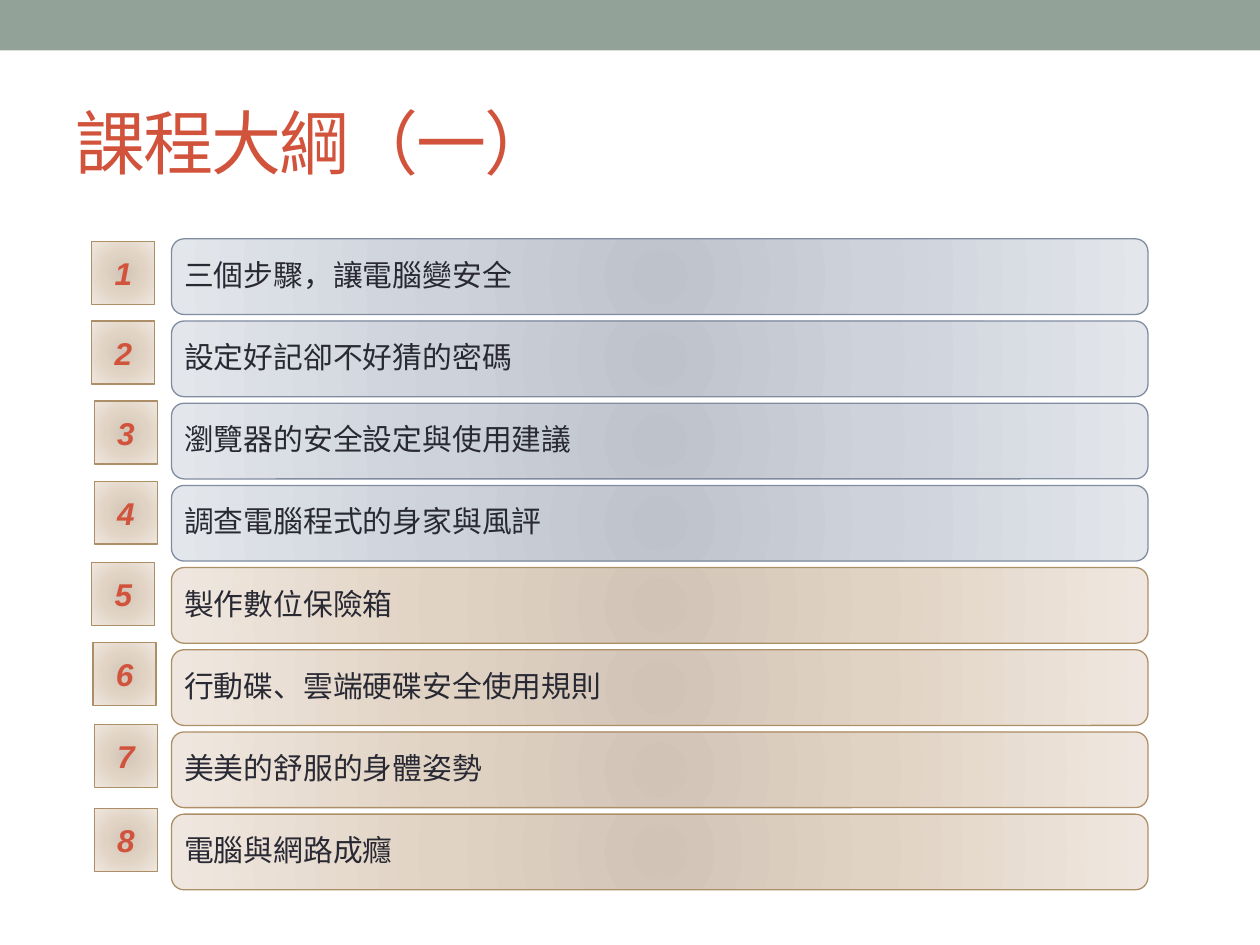
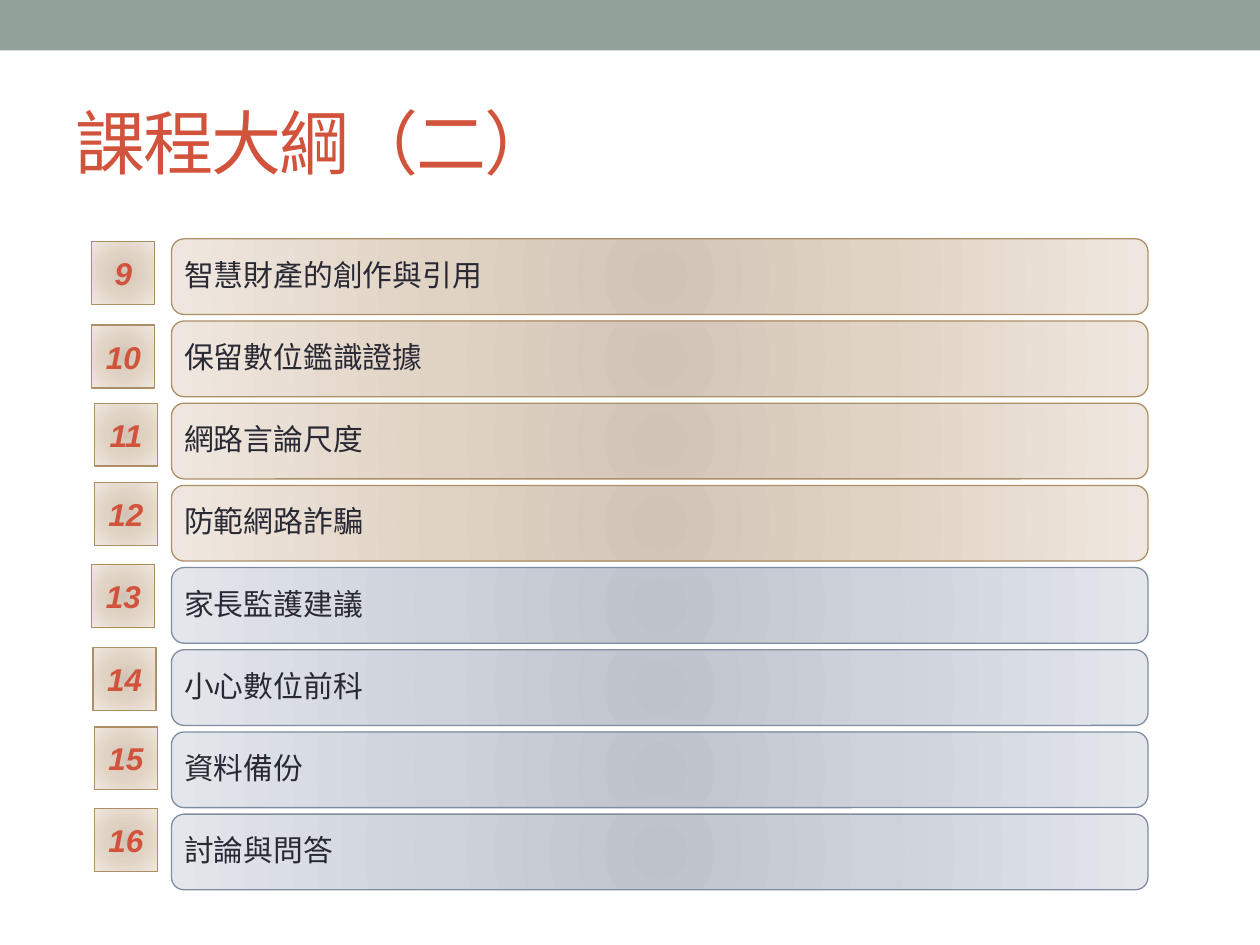
import pptx
import pptx.dml.color
import pptx.enum.shapes
import pptx.enum.text
import pptx.oxml
import pptx.oxml.ns
import pptx.util

Pt = pptx.util.Pt
KIND = pptx.enum.shapes.MSO_SHAPE
ALIGN = pptx.enum.text.PP_ALIGN
MIDDLE = pptx.enum.text.MSO_ANCHOR.MIDDLE

WIDE, HIGH = 720, 540
FONT = "Arial"
SAGE, RED, INK = "93A299", "D2533C", "292934"
BLUE = (("BEC3CB", "CDD2DB", "E3E6EB"), "808DA0")
TAN = (("D1C4B6", "E1D3C4", "EFE7DF"), "AD8F67")
STOPS = (0, 45, 100)

TITLE = (36, 42, 648, 78)
LIST = (98, 136.5, 558, 372)
GAP = 3.7
SIDE = 36
LEFTS = (52.5, 52.5, 54, 54, 52.5, 53.2, 54, 54)

PAGES = (
    ("課程大綱（一）", 1, (BLUE, TAN),
     (138, 183.5, 229.2, 275, 321.6, 367.2, 414, 462),
     ("三個步驟，讓電腦變安全", "設定好記卻不好猜的密碼",
      "瀏覽器的安全設定與使用建議", "調查電腦程式的身家與風評",
      "製作數位保險箱", "行動碟、雲端硬碟安全使用規則",
      "美美的舒服的身體姿勢", "電腦與網路成癮")),
    ("課程大綱（二）", 9, (TAN, BLUE),
     (138, 185.8, 230.4, 275.8, 322.6, 370, 415.4, 462),
     ("智慧財產的創作與引用", "保留數位鑑識證據", "網路言論尺度",
      "防範網路詐騙", "家長監護建議", "小心數位前科",
      "資料備份", "討論與問答")),
)


def color(code):
    """Turn a hex string into a colour."""
    return pptx.dml.color.RGBColor.from_string(code)


def write(shape, text, size, code):
    """Write one line, centred in height, and return its paragraph."""
    frame = shape.text_frame
    frame.vertical_anchor = MIDDLE
    frame.word_wrap = True
    line = frame.paragraphs[0]
    line.text = text
    line.alignment = ALIGN.LEFT
    line.font.name = FONT
    line.font.size = Pt(size)
    line.font.color.rgb = color(code)
    return line


def glow(shape, shades):
    """Fill a shape with a round gradient from its centre."""
    stops = "".join(
        f'<a:gs pos="{stop * 1000}"><a:srgbClr val="{shade}"/></a:gs>'
        for stop, shade in zip(STOPS, shades))
    grad = pptx.oxml.parse_xml(
        f'<a:gradFill {pptx.oxml.ns.nsdecls("a")} rotWithShape="1">'
        f'<a:gsLst>{stops}</a:gsLst><a:path path="circle">'
        '<a:fillToRect l="100000" t="100000" r="100000" b="100000"/>'
        '</a:path></a:gradFill>')
    shape.fill.gradient()
    props = shape.element.spPr
    props.replace(props.find(pptx.oxml.ns.qn("a:gradFill")), grad)


def tile(slide, kind, box, theme):
    """Add a gradient shape with a thin outline."""
    shades, edge = theme
    shape = slide.shapes.add_shape(kind, *map(Pt, box))
    shape.shadow.inherit = False
    glow(shape, shades)
    shape.line.color.rgb = color(edge)
    shape.line.width = Pt(0.75)
    return shape


def header(slide, box, text):
    """Add the top band and the title."""
    band = slide.shapes.add_shape(KIND.RECTANGLE, 0, 0, Pt(WIDE), Pt(28.8))
    band.shadow.inherit = False
    band.fill.solid()
    band.fill.fore_color.rgb = color(SAGE)
    band.line.fill.background()
    title = slide.shapes.add_textbox(*map(Pt, box))
    line = write(title, text, 40, RED)
    line.runs[0].font._element.set("spc", "-100")


def topics(slide, box, texts, themes):
    """Stack one bar per topic, half of them in each theme."""
    left, top, width, height = box
    step = (height + GAP) / len(texts)
    half = len(texts) // 2
    for i, text in enumerate(texts):
        spot = (left, top + i * step, width, step - GAP)
        bar = tile(slide, KIND.ROUNDED_RECTANGLE, spot, themes[i // half])
        frame = bar.text_frame
        frame.margin_left = frame.margin_right = Pt(5.1)
        frame.margin_top = frame.margin_bottom = Pt(5.1)
        line = write(bar, text, 17, INK)
        line.line_spacing = 0.9
        line.space_after = Pt(6)


def badges(slide, first, tops):
    """Add the numbered squares beside the bars."""
    for number, (left, top) in enumerate(zip(LEFTS, tops), first):
        badge = tile(slide, KIND.RECTANGLE, (left, top, SIDE, SIDE), TAN)
        line = write(badge, str(number), 18, RED)
        line.alignment = ALIGN.CENTER
        line.font.bold = line.font.italic = True


def main():
    """Build both outline slides and save them."""
    deck = pptx.Presentation()
    deck.slide_width, deck.slide_height = Pt(WIDE), Pt(HIGH)
    for title, first, themes, tops, texts in PAGES:
        slide = deck.slides.add_slide(deck.slide_layouts[6])
        header(slide, TITLE, title)
        topics(slide, LIST, texts, themes)
        badges(slide, first, tops)
    deck.save("out.pptx")


if __name__ == "__main__":
    main()
